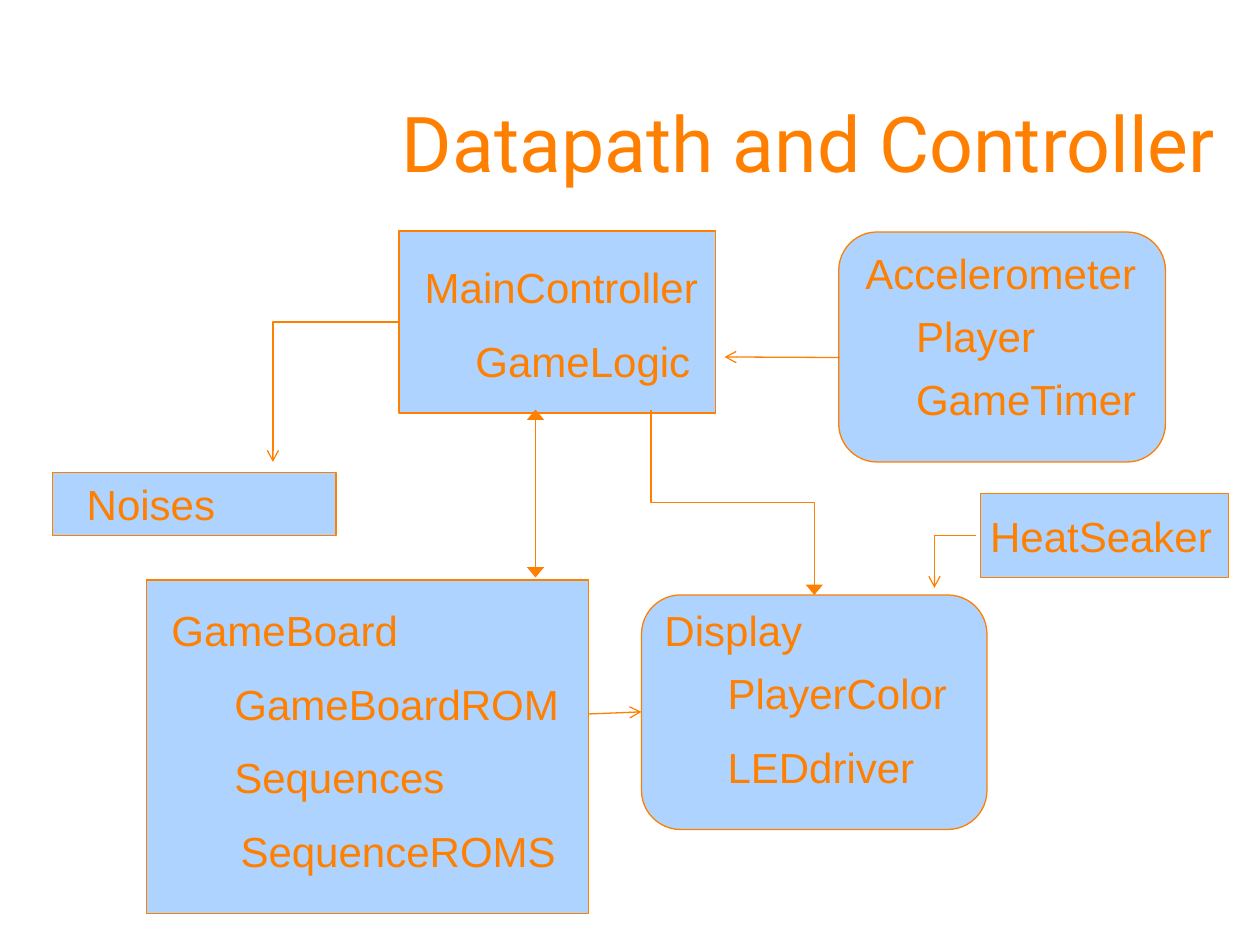
from typing import NamedTuple

from pptx import Presentation
from pptx.dml.color import RGBColor
from pptx.enum.shapes import MSO_CONNECTOR, MSO_SHAPE
from pptx.enum.text import MSO_ANCHOR, PP_ALIGN
from pptx.oxml.ns import qn
from pptx.oxml.xmlchemy import OxmlElement
from pptx.util import Pt

ORANGE = RGBColor(0xFF, 0x80, 0x00)
BLUE = RGBColor(0xAE, 0xD3, 0xFF)
RECT = MSO_SHAPE.RECTANGLE
ROUND = MSO_SHAPE.ROUNDED_RECTANGLE
LINE = MSO_CONNECTOR.STRAIGHT
ELBOW = MSO_CONNECTOR.ELBOW
MIDDLE = MSO_ANCHOR.MIDDLE
TOP = MSO_ANCHOR.TOP
LEFT = PP_ALIGN.LEFT
RIGHT = PP_ALIGN.RIGHT
STROKE = 0.74


class Box(NamedTuple):
    kind: MSO_SHAPE
    x: float
    y: float
    w: float
    h: float


class Label(NamedTuple):
    text: str
    x: float
    y: float
    w: float
    h: float = 36
    size: float = 24
    font: str = "Arial"
    align: PP_ALIGN = LEFT
    anchor: MSO_ANCHOR = TOP


class Link(NamedTuple):
    x1: float
    y1: float
    x2: float
    y2: float
    tail: str = "arrow"
    head: str = "none"
    bend: str = ""


BOXES = [
    Box(RECT, 30, 270, 162, 36),
    Box(RECT, 83.8, 331.5, 252.5, 190.5),
    Box(RECT, 560.2, 282, 141.8, 48),
    Box(ROUND, 479.3, 132.6, 186.7, 131.4),
    Box(ROUND, 366.6, 340, 197.4, 134),
    Box(RECT, 228, 132, 180.8, 104),
]

LABELS = [
    Label("Datapath and Controller", 90, 36, 612, 90, 44, "Roboto",
          RIGHT, MIDDLE),
    Label("MainController", 235.6, 146, 176),
    Label("GameLogic", 264.6, 188, 144),
    Label("Accelerometer", 487.4, 138, 175),
    Label("Player", 516.4, 174, 88),
    Label("GameTimer", 516.4, 210, 147),
    Label("Noises", 42.5, 270, 94),
    Label("HeatSeaker", 558.7, 288, 147),
    Label("GameBoard", 90.9, 342, 150),
    Label("GameBoardROM", 126.9, 384, 206),
    Label("Sequences", 126.8, 426, 140),
    Label("SequenceROMS", 130.4, 468, 200),
    Label("Display", 372.6, 342, 99),
    Label("PlayerColor", 408.7, 378, 146),
    Label("LEDdriver", 408.7, 420, 127),
]

LINKS = [
    Link(372, 234, 465.3, 340, "triangle", bend="bentConnector3"),
    Link(480, 204.3, 414, 204),
    Link(228, 184, 156, 264, bend="bentConnector2"),
    Link(306, 234, 306, 330, "triangle", "triangle"),
    Link(336, 408, 366.5, 406.8),
    Link(558, 306, 534, 336, bend="bentConnector2"),
]


def draw_box(shapes, box: Box) -> None:
    shape = shapes.add_shape(box.kind, *map(Pt, box[1:]))
    shape.shadow.inherit = False
    shape.fill.solid()
    shape.fill.fore_color.rgb = BLUE
    shape.line.color.rgb = ORANGE
    shape.line.width = Pt(STROKE)


def draw_label(shapes, label: Label) -> None:
    frame = shapes.add_textbox(*map(Pt, label[1:5])).text_frame
    frame.word_wrap = True
    frame.vertical_anchor = label.anchor
    para = frame.paragraphs[0]
    para.text = label.text
    para.alignment = label.align
    para.font.size = Pt(label.size)
    para.font.name = label.font
    para.font.color.rgb = ORANGE


def draw_link(shapes, link: Link) -> None:
    x1, y1, x2, y2 = link[:4]
    turned = link.bend == "bentConnector3"
    if turned:
        midx, midy = (x1 + x2) / 2, (y1 + y2) / 2
        halfx, halfy = (y2 - y1) / 2, (x2 - x1) / 2
        x1, y1 = midx + halfx, midy - halfy
        x2, y2 = midx - halfx, midy + halfy
    kind = ELBOW if link.bend else LINE
    line = shapes.add_connector(kind, Pt(x1), Pt(y1), Pt(x2), Pt(y2))
    line.line.color.rgb = ORANGE
    line.line.width = Pt(STROKE)
    props = line._element.spPr
    if link.bend:
        props.find(qn("a:prstGeom")).set("prst", link.bend)
    if turned:
        props.find(qn("a:xfrm")).set("rot", "16200000")
    stroke = props.find(qn("a:ln"))
    for tag, style in (("a:headEnd", link.head), ("a:tailEnd", link.tail)):
        end = OxmlElement(tag)
        end.set("type", style)
        if style == "triangle":
            end.set("w", "lg")
        stroke.append(end)
    props.append(OxmlElement("a:effectLst"))


def main() -> None:
    deck = Presentation()
    deck.slide_width, deck.slide_height = Pt(720), Pt(540)
    shapes = deck.slides.add_slide(deck.slide_layouts[6]).shapes
    for box in BOXES:
        draw_box(shapes, box)
    for label in LABELS:
        draw_label(shapes, label)
    for link in LINKS:
        draw_link(shapes, link)
    deck.save("out.pptx")


main()
